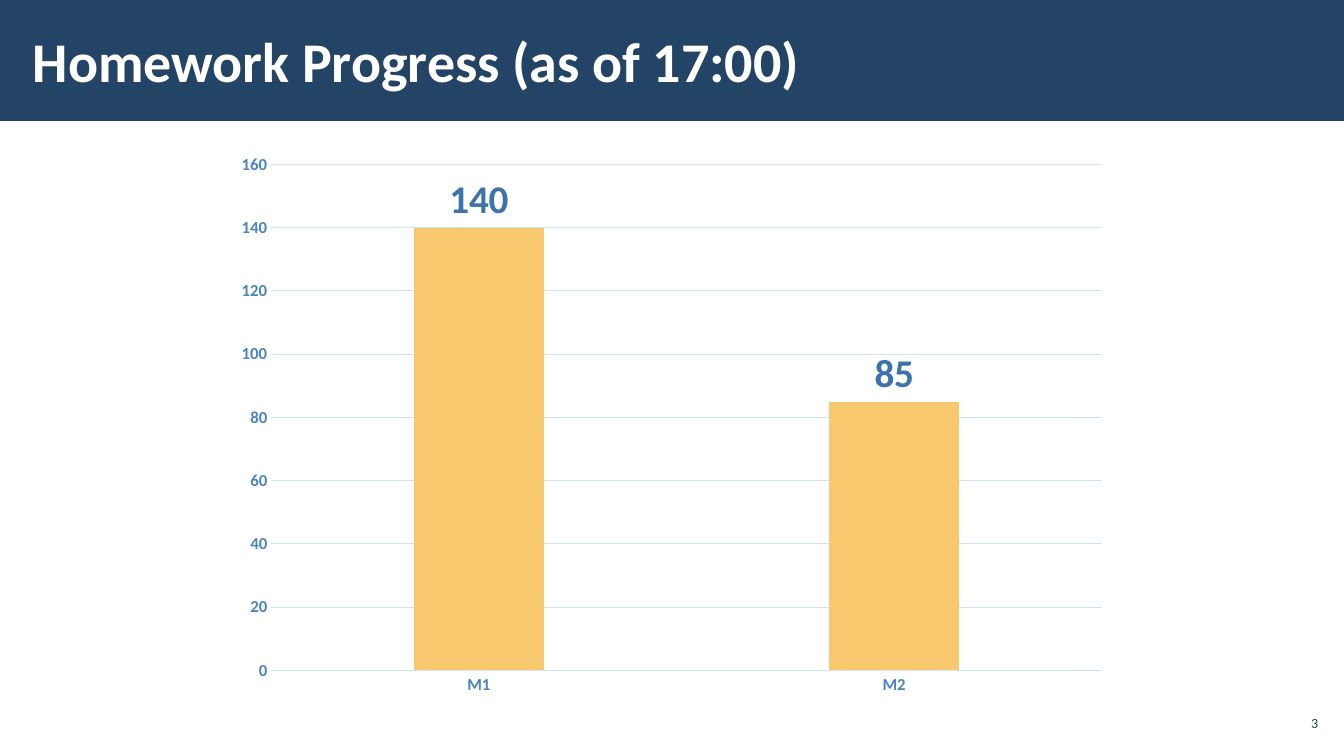
"""Build the homework progress slide with its bar chart."""
from dataclasses import dataclass, field

from pptx import Presentation
from pptx.chart.axis import CategoryAxis, ValueAxis
from pptx.chart.chart import Chart
from pptx.chart.data import CategoryChartData
from pptx.dml.color import RGBColor
from pptx.enum.chart import XL_CHART_TYPE as ChartType
from pptx.enum.chart import XL_LABEL_POSITION as LabelPosition
from pptx.enum.chart import XL_TICK_MARK as TickMark
from pptx.enum.shapes import MSO_SHAPE as Preset
from pptx.enum.text import MSO_ANCHOR as Anchor
from pptx.enum.text import MSO_AUTO_SIZE as AutoSize
from pptx.enum.text import PP_ALIGN as Align
from pptx.slide import Slide
from pptx.text.text import Font, TextFrame
from pptx.util import Cm, Length, Pt


@dataclass(frozen=True)
class TextStyle:
    size: float
    color: str
    bold: bool = False


@dataclass(frozen=True)
class Area:
    left: float
    top: float
    width: float
    height: float

    def lengths(self) -> tuple[Length, Length, Length, Length]:
        return Cm(self.left), Cm(self.top), Cm(self.width), Cm(self.height)


@dataclass(frozen=True)
class Theme:
    font: str = "Calibri"
    navy: str = "234465"
    bar: str = "F7C86D"
    rule: str = "D5E3F1"
    rule_width: float = 0.75
    title: TextStyle = field(default=TextStyle(40, "FFFFFF", True))
    page_number: TextStyle = field(default=TextStyle(10, "234465"))
    axis: TextStyle = field(default=TextStyle(12, "4A85C0", True))
    value: TextStyle = field(default=TextStyle(28, "3B73AA", True))


THEME = Theme()
SLIDE = Area(0, 0, 33.87, 19.05)
BAND = Area(0, 0, SLIDE.width, 3.05)
TITLE = Area(0.53, 0.28, 26.39, 2.46)
PAGE_NUMBER = Area(32.13, 17.78, 1.19, 0.86)
CHART = Area(5.64, 3.61, 22.58, 14.17)
SUBMISSIONS = {"M1": 140, "M2": 85}


def rgb(color: str) -> RGBColor:
    return RGBColor.from_string(color)


def style_font(font: Font, style: TextStyle) -> None:
    font.name = THEME.font
    font.size = Pt(style.size)
    font.bold = style.bold
    font.color.rgb = rgb(style.color)


def write_line(frame: TextFrame, text: str, style: TextStyle, align: Align,
               side_inset: float) -> None:
    frame.text = text
    frame.word_wrap = True
    frame.auto_size = AutoSize.NONE
    frame.vertical_anchor = Anchor.MIDDLE
    frame.margin_left = frame.margin_right = Cm(side_inset)
    frame.margin_top = frame.margin_bottom = Cm(0.1)
    paragraph = frame.paragraphs[0]
    paragraph.alignment = align
    style_font(paragraph.font, style)


def add_header(slide: Slide) -> None:
    band = slide.shapes.add_shape(Preset.RECTANGLE, *BAND.lengths())
    band.shadow.inherit = False
    band.fill.solid()
    band.fill.fore_color.rgb = rgb(THEME.navy)
    band.line.fill.background()

    title = slide.shapes.title
    title.left, title.top, title.width, title.height = TITLE.lengths()
    write_line(title.text_frame, "Homework Progress (as of 17:00)",
               THEME.title, Align.LEFT, 0.3)
    title._element.addprevious(band._element)


def style_axis(axis: CategoryAxis | ValueAxis) -> None:
    axis.major_tick_mark = axis.minor_tick_mark = TickMark.NONE
    style_font(axis.tick_labels.font, THEME.axis)


def style_axes(chart: Chart) -> None:
    members, count = chart.category_axis, chart.value_axis
    for axis in (members, count):
        style_axis(axis)
    count.minimum_scale, count.maximum_scale, count.major_unit = 0, 160, 20
    count.format.line.fill.background()
    for rule in (members.format.line, count.major_gridlines.format.line):
        rule.color.rgb = rgb(THEME.rule)
        rule.width = Pt(THEME.rule_width)


def add_progress_chart(slide: Slide) -> None:
    progress = CategoryChartData()
    progress.categories = list(SUBMISSIONS)
    progress.add_series("Series 1", list(SUBMISSIONS.values()))
    chart = slide.shapes.add_chart(ChartType.COLUMN_CLUSTERED,
                                   *CHART.lengths(), progress).chart
    chart.has_legend = chart.has_title = False
    style_font(chart.font, THEME.page_number)
    style_axes(chart)

    plot = chart.plots[0]
    plot.vary_by_categories = False
    plot.gap_width, plot.overlap = 219, -27
    bars = plot.series[0]
    bars.format.fill.solid()
    bars.format.fill.fore_color.rgb = rgb(THEME.bar)
    labels = bars.data_labels
    labels.show_value = True
    labels.position = LabelPosition.OUTSIDE_END
    style_font(labels.font, THEME.value)


def add_page_number(slide: Slide) -> None:
    page_number = slide.shapes.add_textbox(*PAGE_NUMBER.lengths())
    write_line(page_number.text_frame, "3", THEME.page_number, Align.RIGHT, 0.1)


def main() -> None:
    deck = Presentation()
    deck.slide_width, deck.slide_height = Cm(SLIDE.width), Cm(SLIDE.height)
    slide = deck.slides.add_slide(deck.slide_layouts.get_by_name("Title Only"))
    add_header(slide)
    add_page_number(slide)
    add_progress_chart(slide)
    deck.save("out.pptx")


if __name__ == "__main__":
    main()
